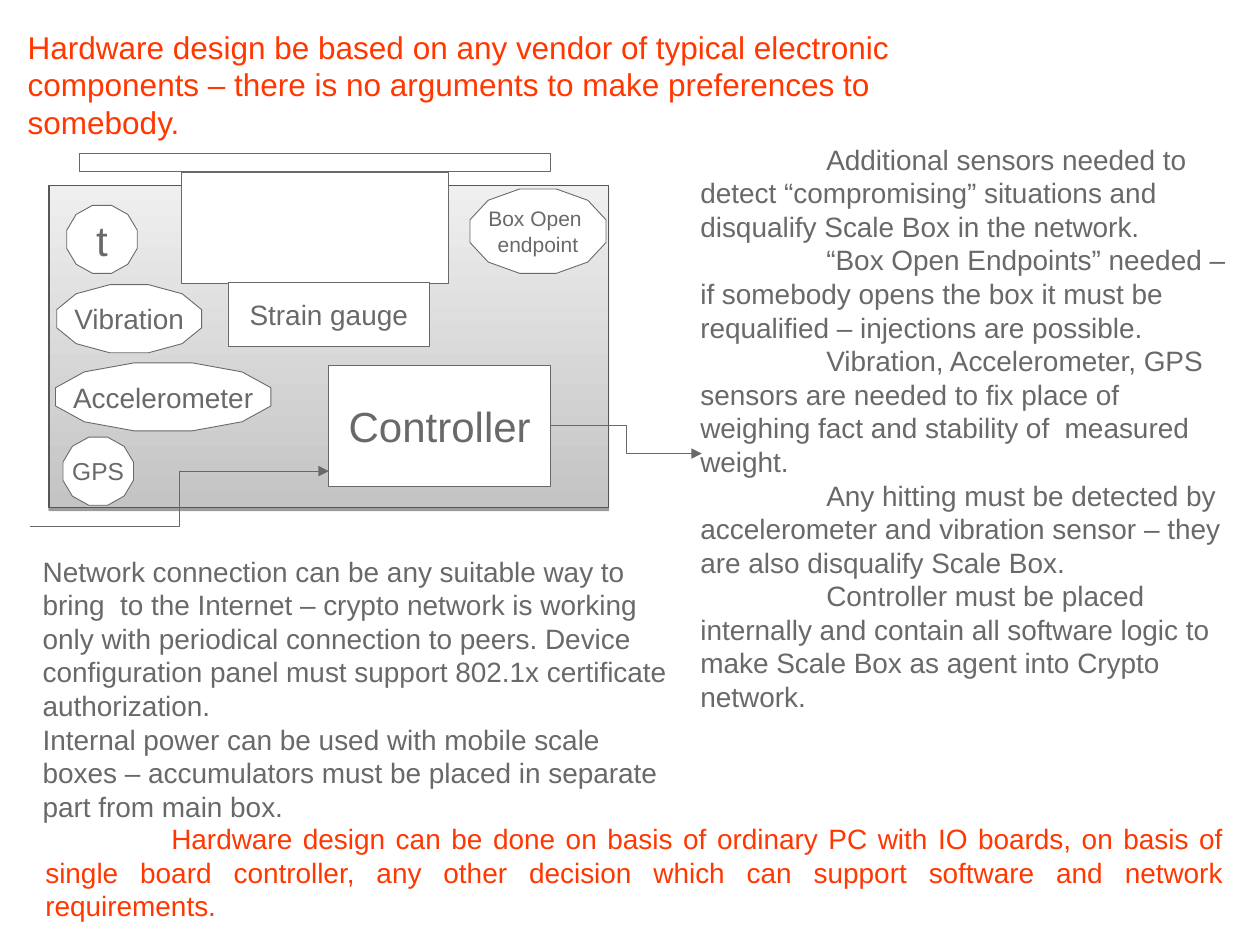
import pptx
import pptx.util
import pptx.dml.color
import pptx.enum.shapes
import pptx.enum.text
import pptx.oxml.ns
from lxml import etree

Inches, Pt = pptx.util.Inches, pptx.util.Pt
RGBColor = pptx.dml.color.RGBColor
qn = pptx.oxml.ns.qn
SHAPE = pptx.enum.shapes.MSO_SHAPE
ALIGN = pptx.enum.text.PP_ALIGN
ANCHOR = pptx.enum.text.MSO_ANCHOR
FIT = pptx.enum.text.MSO_AUTO_SIZE

COLORS = {
    "accent": "FF3700",
    "grey": "696969",
    "white": "FFFFFF",
    "case_dark": "C4C4C4",
    "case_light": "EFEFEF",
    "case_edge": "575757",
    "shadow": "000000",
}


def color(name):
    return RGBColor.from_string(COLORS[name])


def write(shape, lines, size=16, ink="grey", align=ALIGN.LEFT, anchor=ANCHOR.TOP,
          wrap=True, fit=FIT.NONE, inset=(0.1, 0.05)):
    frame = shape.text_frame
    frame.word_wrap = wrap
    frame.auto_size = fit
    frame.vertical_anchor = anchor
    frame.margin_left = frame.margin_right = Inches(inset[0])
    frame.margin_top = frame.margin_bottom = Inches(inset[1])
    for index, line in enumerate(lines):
        para = frame.add_paragraph() if index else frame.paragraphs[0]
        para.alignment = align
        span = para.add_run()
        span.text = line
        span.font.name = "Arial"
        span.font.size = Pt(size)
        span.font.color.rgb = color(ink)
        if line.startswith("\t"):
            tabs = etree.SubElement(para._p.get_or_add_pPr(), qn("a:tabLst"))
            etree.SubElement(tabs, qn("a:tab"), pos=str(Inches(1)), algn="l")


deck = pptx.Presentation()
deck.slide_width, deck.slide_height = Inches(10), Inches(7.5)
page = deck.slides.add_slide(deck.slide_layouts[5])

# Title
title = page.shapes.title
title.left, title.top = Inches(0.22), Inches(0.62)
title.width, title.height = Inches(7.44), Inches(0.5)
write(title, ["Hardware design be based on any vendor of typical electronic components – "
              "there is no arguments to make preferences to somebody."],
      size=18, ink="accent", anchor=ANCHOR.BOTTOM, inset=(0, 0))

# Closing remark
remark = page.shapes.add_textbox(Inches(0.36), Inches(6.51), Inches(9.35), Inches(0.82))
write(remark, ["\tHardware design can be done on basis of ordinary PC with IO boards, on basis "
               "of single board controller, any other decision which can support software "
               "and network requirements."],
      ink="accent", align=ALIGN.JUSTIFY, anchor=ANCHOR.MIDDLE, inset=(0, 0))

# Notes on sensors and on connection
sensor_notes = [
    "\tAdditional sensors needed to detect “compromising” situations and disqualify "
    "Scale Box in the network.",
    "\t“Box Open Endpoints” needed – if somebody opens the box it must be requalified – "
    "injections are possible.",
    "\tVibration, Accelerometer, GPS sensors are needed to fix place of weighing fact and "
    "stability of  measured weight.",
    "\tAny hitting must be detected by accelerometer and vibration sensor – they are also "
    "disqualify Scale Box.",
    "\tController must be placed internally and contain all software logic to make Scale "
    "Box as agent into Crypto network.",
]
connection_notes = [
    "Network connection can be any suitable way to bring  to the Internet – crypto network "
    "is working only with periodical connection to peers. Device configuration panel must "
    "support 802.1x certificate authorization.",
    "Internal power can be used with mobile scale boxes – accumulators must be placed in "
    "separate part from main box.",
]
for place, lines in [((5.46, 1.08, 4.41, 4.9), sensor_notes),
                     ((0.24, 4.35, 5.22, 2.24), connection_notes)]:
    box = page.shapes.add_textbox(*map(Inches, place))
    write(box, lines, fit=FIT.SHAPE_TO_FIT_TEXT)

# Scale box case: gradient with a short downward shadow
case = page.shapes.add_shape(SHAPE.RECTANGLE, Inches(0.39), Inches(1.47),
                             Inches(4.44), Inches(2.56))
case.fill.gradient()
case.fill.gradient_angle = 90
for stop, position, name in zip(case.fill.gradient_stops, (0, 1), ("case_dark", "case_light")):
    stop.position = position
    stop.color.rgb = color(name)
case.line.color.rgb = color("case_edge")
case.line.width = Pt(0.75)
case.shadow.inherit = False
effects = case._element.spPr.find(qn("a:effectLst"))
shadow = etree.SubElement(effects, qn("a:outerShdw"), blurRad="0", dist=str(Pt(1.6)),
                          dir="5400000", rotWithShape="0")
shade = etree.SubElement(shadow, qn("a:srgbClr"), val=COLORS["shadow"])
etree.SubElement(shade, qn("a:alpha"), val="38000")

# Scale parts and sensors
parts = [
    (SHAPE.RECTANGLE, (0.63, 1.22, 3.74, 0.14), [], 16),
    (SHAPE.RECTANGLE, (1.44, 1.37, 2.12, 0.88), [], 16),
    (SHAPE.RECTANGLE, (1.81, 2.24, 1.6, 0.51), ["Strain gauge"], 16),
    (SHAPE.RECTANGLE, (2.61, 2.9, 1.76, 0.96), ["Controller"], 24),
    (SHAPE.DODECAGON, (0.53, 1.63, 0.56, 0.54), ["t"], 24),
    (SHAPE.DODECAGON, (0.45, 2.26, 1.15, 0.54), ["Vibration"], 16),
    (SHAPE.DODECAGON, (0.5, 3.47, 0.56, 0.54), ["GPS"], 14),
    (SHAPE.DODECAGON, (0.44, 2.88, 1.71, 0.54), ["Accelerometer"], 16),
    (SHAPE.DODECAGON, (3.73, 1.5, 1.08, 0.67), ["Box Open ", "endpoint"], 12),
]
for kind, place, lines, size in parts:
    part = page.shapes.add_shape(kind, *map(Inches, place))
    part.shadow.inherit = False
    part.fill.solid()
    part.fill.fore_color.rgb = color("white")
    part.line.color.rgb = color("grey")
    part.line.width = Pt(0.5)
    write(part, lines, size=size, align=ALIGN.CENTER, anchor=ANCHOR.MIDDLE, wrap=False)

# Controller output and input
for ends in [(4.37, 3.38, 5.57, 3.6), (0.24, 4.18, 2.61, 3.74)]:
    wire = page.shapes.add_connector(pptx.enum.shapes.MSO_CONNECTOR.ELBOW, *map(Inches, ends))
    wire.line.color.rgb = color("grey")
    wire.line.width = Pt(0.5)
    etree.SubElement(wire.line._get_or_add_ln(), qn("a:tailEnd"), type="triangle")
    etree.SubElement(wire._element.spPr, qn("a:effectLst"))

deck.save("out.pptx")
